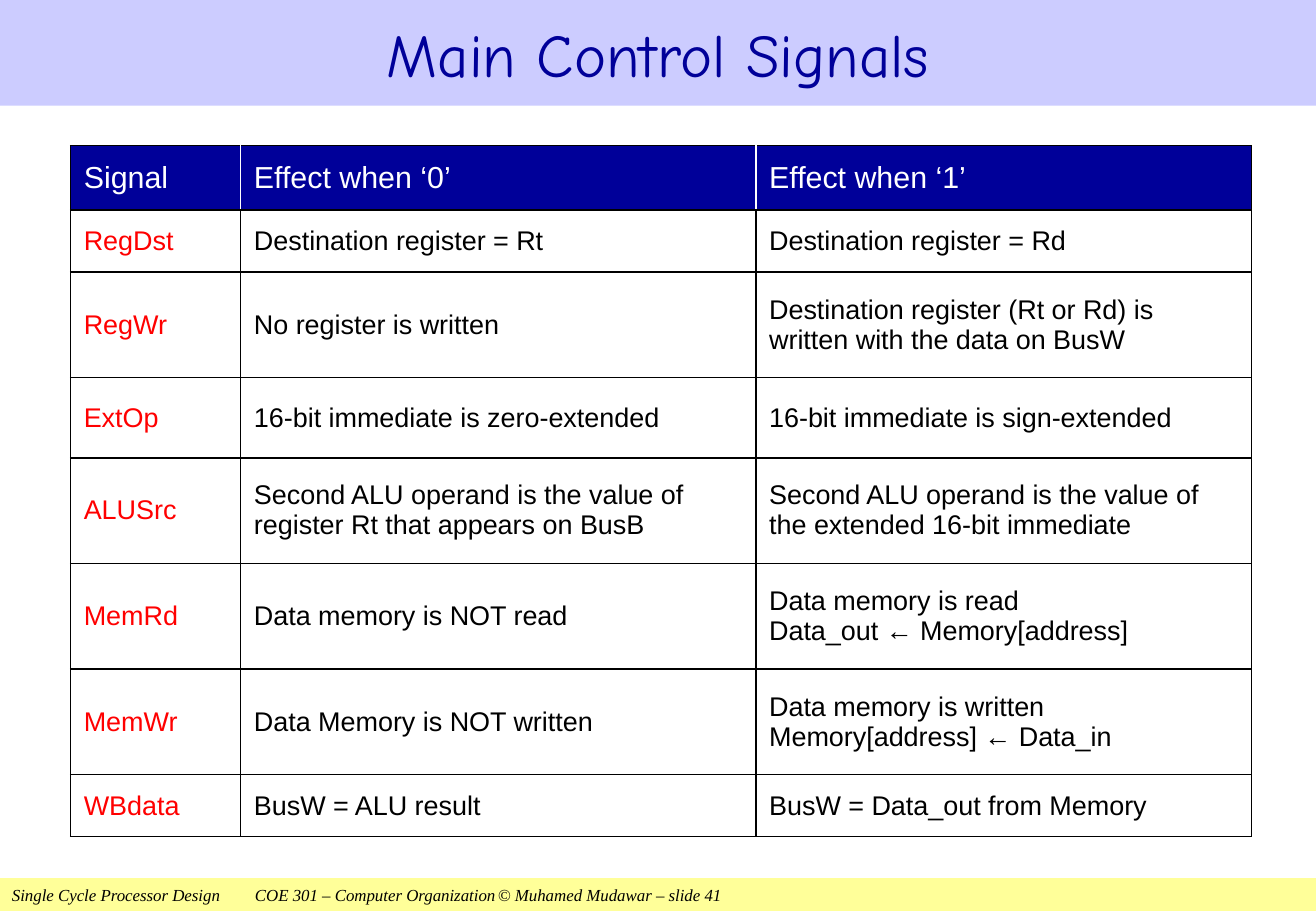
from dataclasses import dataclass

from lxml.etree import SubElement
from pptx import Presentation
from pptx.dml.color import RGBColor
from pptx.enum.shapes import MSO_SHAPE as Preset
from pptx.enum.text import MSO_ANCHOR as Anchor, PP_ALIGN as Align
from pptx.oxml.ns import qn
from pptx.util import Inches, Pt


@dataclass(frozen=True)
class Theme:
    """Colours, fonts and type sizes of the slide."""
    navy: str = "000099"
    lavender: str = "CCCCFF"
    yellow: str = "FFFF99"
    red: str = "FF0000"
    black: str = "000000"
    white: str = "FFFFFF"
    title_font: str = "Comic Neue"
    table_font: str = "Arial"
    footer_font: str = "Times New Roman"
    title_size: int = 36
    header_size: int = 18
    body_size: int = 16
    footer_size: int = 10


THEME = Theme()
PAGE_WIDTH = 10.83
PAGE_HEIGHT = 7.5
COLUMN_WIDTHS = (1.4, 4.24, 4.08)
ROW_HEIGHTS = (0.53, 0.51, 0.87, 0.66, 0.87, 0.87, 0.87, 0.51)
SIGNALS = (
    ("Signal", "Effect when ‘0’", "Effect when ‘1’"),
    ("RegDst", "Destination register = Rt", "Destination register = Rd"),
    ("RegWr", "No register is written",
     "Destination register (Rt or Rd) is written with the data on BusW"),
    ("ExtOp", "16-bit immediate is zero-extended", "16-bit immediate is sign-extended"),
    ("ALUSrc", "Second ALU operand is the value of register Rt that appears on BusB",
     "Second ALU operand is the value of the extended 16-bit immediate"),
    ("MemRd", "Data memory is NOT read", "Data memory is read\nData_out ← Memory[address]"),
    ("MemWr", "Data Memory is NOT written", "Data memory is written\nMemory[address] ← Data_in"),
    ("WBdata", "BusW = ALU result", "BusW = Data_out from Memory"),
)
FOOTER = "Single Cycle Processor Design\tCOE 301 – Computer Organization\t© Muhamed Mudawar – slide 41"


def fill_solid(target, colour):
    """Fill a shape or cell with one colour."""
    target.fill.solid()
    target.fill.fore_color.rgb = RGBColor.from_string(colour)


def add_span(para, text, font, size, colour, italic=False):
    """Add one formatted run to a paragraph."""
    span = para.add_run()
    span.text = text
    span.font.name = font
    span.font.size = Pt(size)
    span.font.italic = italic
    span.font.color.rgb = RGBColor.from_string(colour)


def set_borders(cell, colours):
    """Draw one-point cell borders from a side-to-colour mapping."""
    properties = cell._tc.get_or_add_tcPr()
    for side, colour in colours.items():
        line = SubElement(properties, qn(f"a:ln{side}"), w=str(Pt(1)))
        solid = SubElement(line, qn("a:solidFill"))
        SubElement(solid, qn("a:srgbClr"), val=colour)


def add_title(page):
    """Turn the title placeholder into the banner across the top."""
    title = page.shapes.title
    title.left, title.top = Inches(0), Inches(0)
    title.width, title.height = Inches(PAGE_WIDTH), Inches(0.87)
    fill_solid(title, THEME.lavender)
    title.text_frame.vertical_anchor = Anchor.MIDDLE
    para = title.text_frame.paragraphs[0]
    para.alignment = Align.CENTER
    add_span(para, "Main Control Signals", THEME.title_font, THEME.title_size, THEME.navy)


def add_footer(page):
    """Add the course strip along the bottom."""
    box = page.shapes.add_shape(Preset.RECTANGLE, Inches(0), Inches(7.23),
                                Inches(PAGE_WIDTH), Inches(0.27))
    box.shadow.inherit = False
    box.line.fill.background()
    fill_solid(box, THEME.yellow)
    box.text_frame.vertical_anchor = Anchor.MIDDLE
    para = box.text_frame.paragraphs[0]
    para.alignment = Align.LEFT
    tabs = SubElement(para._p.get_or_add_pPr(), qn("a:tabLst"))
    for stop in (2, 4):
        SubElement(tabs, qn("a:tab"), pos=str(Inches(stop)), algn="l")
    add_span(para, FOOTER, THEME.footer_font, THEME.footer_size, THEME.black, italic=True)


def fill_cell(cell, text, row, column):
    """Style one table cell by its place and write its lines."""
    header = row == 0
    last = len(COLUMN_WIDTHS) - 1
    borders = dict.fromkeys("LRTB", THEME.black)
    if header and column > 0:
        borders["L"] = THEME.white
    if header and column < last:
        borders["R"] = THEME.white
    set_borders(cell, borders)
    if header:
        fill_solid(cell, THEME.navy)
        colour, size = THEME.white, THEME.header_size
    else:
        cell.fill.background()
        colour, size = THEME.black if column else THEME.red, THEME.body_size
    cell.vertical_anchor = Anchor.MIDDLE
    cell.margin_left = cell.margin_right = Inches(0.11)
    cell.margin_top = cell.margin_bottom = Inches(0.05 if header else 0.06)
    frame = cell.text_frame
    for index, line in enumerate(text.split("\n")):
        para = frame.add_paragraph() if index else frame.paragraphs[0]
        add_span(para, line, THEME.table_font, size, colour)


def add_signal_table(page):
    """Add the table of control signals and their effects."""
    table = page.shapes.add_table(len(SIGNALS), len(COLUMN_WIDTHS), Inches(0.58), Inches(1.2),
                                  Inches(sum(COLUMN_WIDTHS)), Inches(sum(ROW_HEIGHTS))).table
    table.horz_banding = False
    for column, width in zip(table.columns, COLUMN_WIDTHS):
        column.width = Inches(width)
    for row, height in zip(table.rows, ROW_HEIGHTS):
        row.height = Inches(height)
    for row, texts in enumerate(SIGNALS):
        for column, text in enumerate(texts):
            fill_cell(table.cell(row, column), text, row, column)
    table.first_row = False


def main():
    """Build the slide and save the deck."""
    deck = Presentation()
    deck.slide_width, deck.slide_height = Inches(PAGE_WIDTH), Inches(PAGE_HEIGHT)
    page = deck.slides.add_slide(deck.slide_layouts[5])
    add_footer(page)
    add_signal_table(page)
    add_title(page)
    deck.save("out.pptx")


if __name__ == "__main__":
    main()
